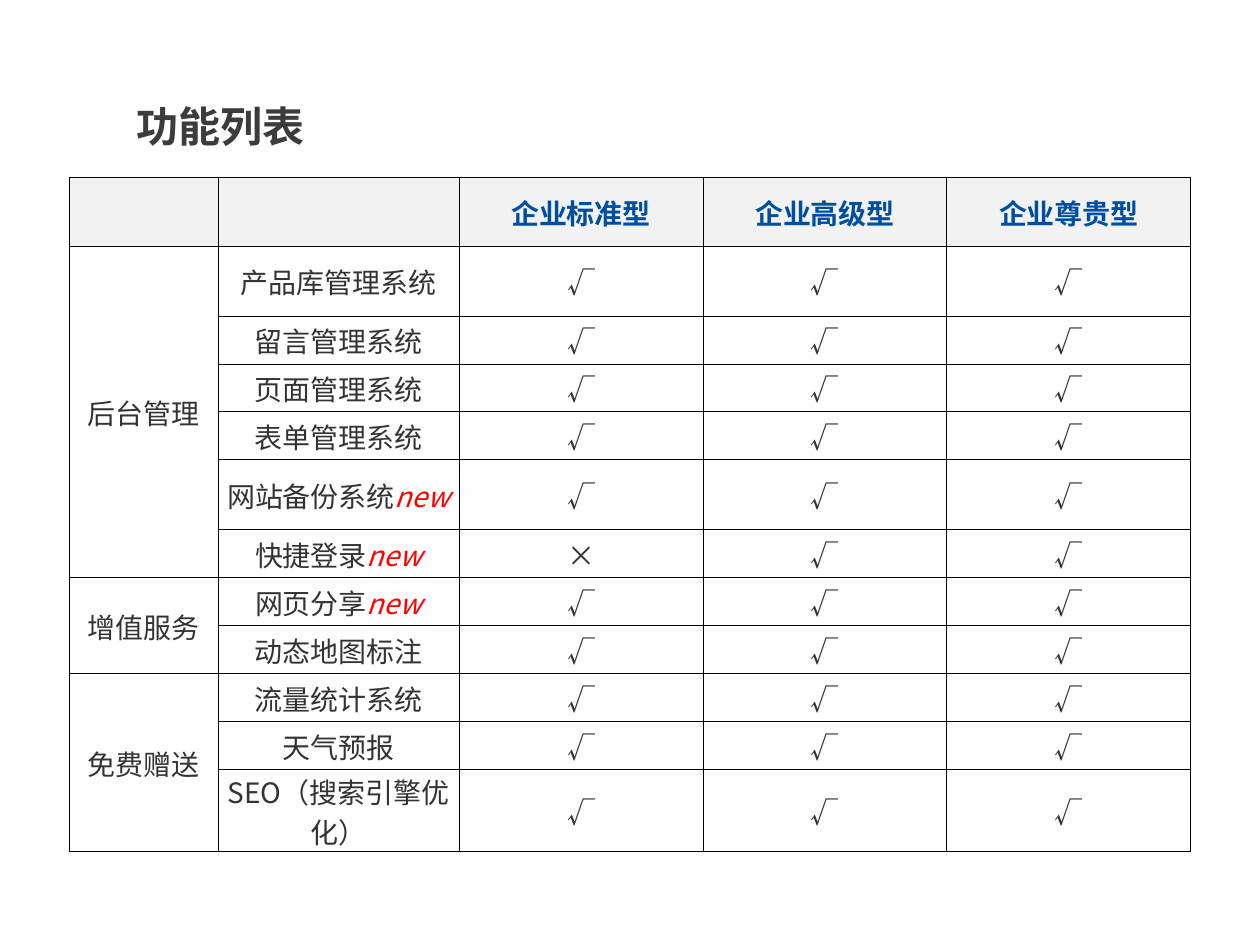
from dataclasses import dataclass

from lxml import etree
from pptx import Presentation
from pptx.dml.color import RGBColor
from pptx.enum.text import MSO_ANCHOR, PP_ALIGN
from pptx.oxml.ns import qn
from pptx.util import Pt

MIDDLE = MSO_ANCHOR.MIDDLE
CENTER = PP_ALIGN.CENTER
EMU_PER_PX = 914400 / 126


@dataclass(frozen=True)
class Theme:
    font: str = "Noto Sans CJK SC"
    title_size: int = 24
    table_size: int = 16
    border_width: float = 0.5
    background: str = "FFFFFF"
    title: str = "3C3C3C"
    header: str = "004EA2"
    body: str = "333333"
    new: str = "FF0000"
    header_fill: str = "F2F2F2"
    body_fill: str = "FEFEFE"
    border: str = "000000"


THEME = Theme()

YES, NO, NEW = "√", "×", "new"
PLANS = ["企业标准型", "企业高级型", "企业尊贵型"]
COLUMN_WIDTHS = [149, 241, 244, 244, 244]
HEADER_HEIGHT, NORMAL_HEIGHT, TALL_HEIGHT, TWO_LINE_HEIGHT = 69, 48, 70, 82

# Feature name, is it new, is it in the standard plan, row height
FEATURE_GROUPS = [
    ("后台管理", [
        ("产品库管理系统", False, True, TALL_HEIGHT),
        ("留言管理系统", False, True, NORMAL_HEIGHT),
        ("页面管理系统", False, True, NORMAL_HEIGHT),
        ("表单管理系统", False, True, NORMAL_HEIGHT),
        ("网站备份系统", True, True, TALL_HEIGHT),
        ("快捷登录", True, False, NORMAL_HEIGHT),
    ]),
    ("增值服务", [
        ("网页分享", True, True, NORMAL_HEIGHT),
        ("动态地图标注", False, True, NORMAL_HEIGHT),
    ]),
    ("免费赠送", [
        ("流量统计系统", False, True, NORMAL_HEIGHT),
        ("天气预报", False, True, NORMAL_HEIGHT),
        ("SEO（搜索引擎优化）", False, True, TWO_LINE_HEIGHT),
    ]),
]


def px(length):
    return round(length * EMU_PER_PX)


def add_run(paragraph, text, size, color, bold=False, italic=False):
    run = paragraph.add_run()
    run.text = text
    font = run.font
    font.size, font.bold, font.italic = Pt(size), bold, italic
    font.color.rgb = RGBColor.from_string(color)
    font.name = THEME.font
    # East Asian characters take their own typeface
    properties = run._r.get_or_add_rPr()
    etree.SubElement(properties, qn("a:ea"), typeface=THEME.font)


def set_borders(cell):
    properties = cell._tc.get_or_add_tcPr()
    for side in ("lnL", "lnR", "lnT", "lnB"):
        line = etree.SubElement(properties, qn(f"a:{side}"),
                                w=str(Pt(THEME.border_width)))
        fill = etree.SubElement(line, qn("a:solidFill"))
        etree.SubElement(fill, qn("a:srgbClr"), val=THEME.border)


def style_cell(cell, fill):
    set_borders(cell)
    cell.fill.solid()
    cell.fill.fore_color.rgb = RGBColor.from_string(fill)
    cell.vertical_anchor = MIDDLE
    cell.margin_left = cell.margin_right = cell.margin_top = px(1)
    cell.margin_bottom = 0
    cell.text_frame.paragraphs[0].alignment = CENTER


def write_cell(cell, text, color=THEME.body, bold=False):
    paragraph = cell.text_frame.paragraphs[0]
    add_run(paragraph, text, THEME.table_size, color, bold)
    return paragraph


def add_title(slide, left, top, width, height):
    shape = slide.shapes.add_textbox(px(left), px(top), px(width), px(height))
    frame = shape.text_frame
    frame.word_wrap = True
    frame.vertical_anchor = MIDDLE
    add_run(frame.paragraphs[0], "功能列表", THEME.title_size, THEME.title, bold=True)


def add_feature_table(slide, left, top):
    features = [feature for _, group in FEATURE_GROUPS for feature in group]
    heights = [HEADER_HEIGHT] + [feature[3] for feature in features]
    table = slide.shapes.add_table(
        len(heights), len(COLUMN_WIDTHS), px(left), px(top),
        px(sum(COLUMN_WIDTHS)), px(sum(heights))).table
    table.first_row = table.horz_banding = False

    # Grid
    for column, width in zip(table.columns, COLUMN_WIDTHS):
        column.width = px(width)
    for index, height in enumerate(heights):
        table.rows[index].height = px(height)
        for cell in table.rows[index].cells:
            style_cell(cell, THEME.body_fill if index else THEME.header_fill)

    # Header
    for column, plan in enumerate(PLANS, start=2):
        write_cell(table.cell(0, column), plan, THEME.header, bold=True)

    # Group names
    row = 1
    for name, group in FEATURE_GROUPS:
        last_row = row + len(group) - 1
        table.cell(row, 0).merge(table.cell(last_row, 0))
        write_cell(table.cell(row, 0), name)
        row = last_row + 1

    # Features and their marks
    for row, (name, is_new, in_standard, _) in enumerate(features, start=1):
        paragraph = write_cell(table.cell(row, 1), name)
        if is_new:
            add_run(paragraph, NEW, THEME.table_size, THEME.new, italic=True)
        marks = [YES if in_standard else NO, YES, YES]
        for column, mark in enumerate(marks, start=2):
            write_cell(table.cell(row, column), mark)


def main():
    presentation = Presentation()
    presentation.slide_width, presentation.slide_height = px(1260), px(945)
    slide = presentation.slides.add_slide(presentation.slide_layouts[6])
    slide.background.fill.solid()
    slide.background.fill.fore_color.rgb = RGBColor.from_string(THEME.background)
    add_title(slide, 124, 76, 704, 100)
    add_feature_table(slide, 69, 177)
    presentation.save("out.pptx")


if __name__ == "__main__":
    main()
